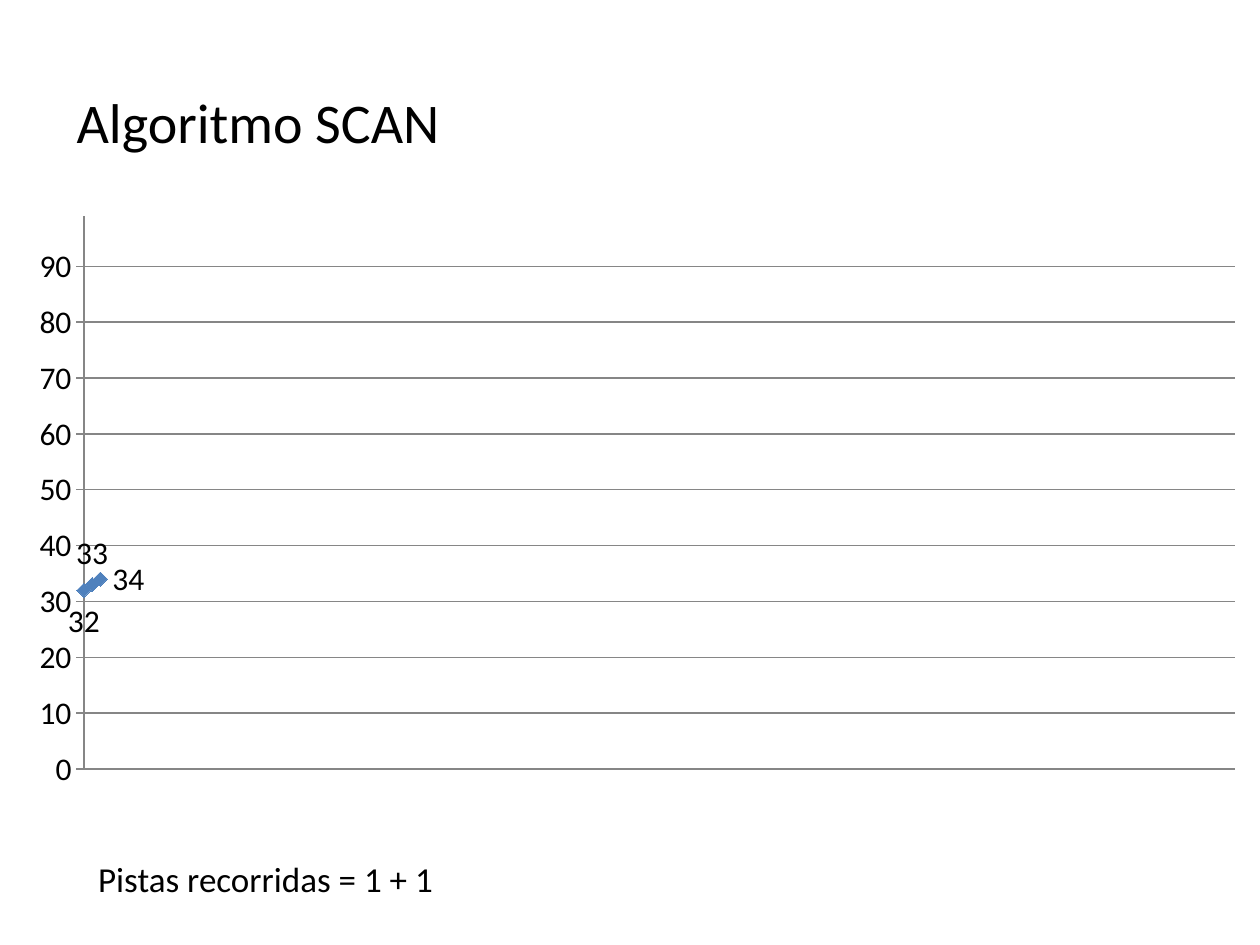
"""Build a slide charting the tracks visited by the SCAN disk algorithm."""
from pptx import Presentation
from pptx.chart.data import XyChartData
from pptx.dml.color import RGBColor
from pptx.enum import chart as ch, text
from pptx.util import Inches, Pt
from pptx.oxml import parse_xml
from pptx.oxml.ns import nsdecls


def rgb(value):
    return RGBColor.from_string(value)


prs = Presentation()
prs.slide_width, prs.slide_height = Inches(10), Inches(7.5)
s = prs.slides.add_slide(prs.slide_layouts[6])

data = XyChartData()
tracks = data.add_series("Series 1")
for step, track in enumerate([32, 33, 34]):
    tracks.add_data_point(step, track)
chart = s.shapes.add_chart(ch.XL_CHART_TYPE.XY_SCATTER_LINES, Inches(0.07), Inches(1.62),
                           Inches(9.93), Inches(4.72), data).chart
chart.has_legend = False
chart.has_title = False
chart.font.size = Pt(18)
chart.font.name = "Calibri"
chart.font.color.rgb = rgb("000000")

x_axis, y_axis = chart.category_axis, chart.value_axis
for axis, top in ((x_axis, 139), (y_axis, 99)):
    axis.minimum_scale, axis.maximum_scale = 0, top
    axis.has_major_gridlines = axis is y_axis
    axis.minor_tick_mark = ch.XL_TICK_MARK.NONE
    axis.format.line.color.rgb = rgb("868686")
    axis.format.line.width = Pt(0.75)
x_axis.major_tick_mark = ch.XL_TICK_MARK.NONE
x_axis.tick_label_position = ch.XL_TICK_LABEL_POSITION.NONE
y_axis.major_tick_mark = ch.XL_TICK_MARK.OUTSIDE
y_axis.major_unit = 10
y_axis.major_gridlines.format.line.color.rgb = rgb("868686")
y_axis.major_gridlines.format.line.width = Pt(0.75)
y_axis.tick_labels.number_format = "General"
y_axis.tick_labels.number_format_is_linked = False

plot = chart.plots[0]
plot.vary_by_categories = False
ser = plot.series[0]
ser.smooth = False
ser.format.line.color.rgb = rgb("4F81BD")
ser.format.line.width = Pt(2.25)
ser.marker.style = ch.XL_MARKER_STYLE.DIAMOND
ser.marker.size = 8
ser.marker.format.fill.solid()
ser.marker.format.fill.fore_color.rgb = rgb("4F81BD")
ser.marker.format.line.color.rgb = rgb("4F81BD")
for point, position in enumerate((ch.XL_LABEL_POSITION.BELOW, ch.XL_LABEL_POSITION.ABOVE,
                                  ch.XL_LABEL_POSITION.RIGHT)):
    ser.points[point].data_label.position = position

plot_area = chart.element.chart.plotArea if hasattr(chart, "element") else chart.plots[0].element.getparent()
for layout in plot_area.xpath("c:layout"):
    plot_area.remove(layout)
plot_area.insert(0, parse_xml(
    f'<c:layout {nsdecls("c")}><c:manualLayout><c:layoutTarget val="inner"/>'
    '<c:xMode val="edge"/><c:yMode val="edge"/><c:x val="0.055"/><c:y val="0.02"/>'
    '<c:w val="0.925"/><c:h val="0.93"/></c:manualLayout></c:layout>'.replace("0.925", "0.92").replace("0.055", "0.06")))

for words, size, left, top, width, height in (
        ("Algoritmo SCAN", 32, 0.51, 0.29, 9, 1.34),
        ("Pistas recorridas = 1 + 1", 20, 0.68, 6.58, 8.42, 0.79)):
    sp = s.shapes.add_textbox(Inches(left), Inches(top), Inches(width), Inches(height))
    tf = sp.text_frame
    tf.word_wrap = True
    tf.vertical_anchor = text.MSO_ANCHOR.MIDDLE
    p = tf.paragraphs[0]
    p.alignment = text.PP_ALIGN.LEFT
    r = p.add_run()
    r.text = words
    r.font.size = Pt(size)
    r.font.name = "Calibri"
    r.font.color.rgb = rgb("000000")

prs.save("out.pptx")
